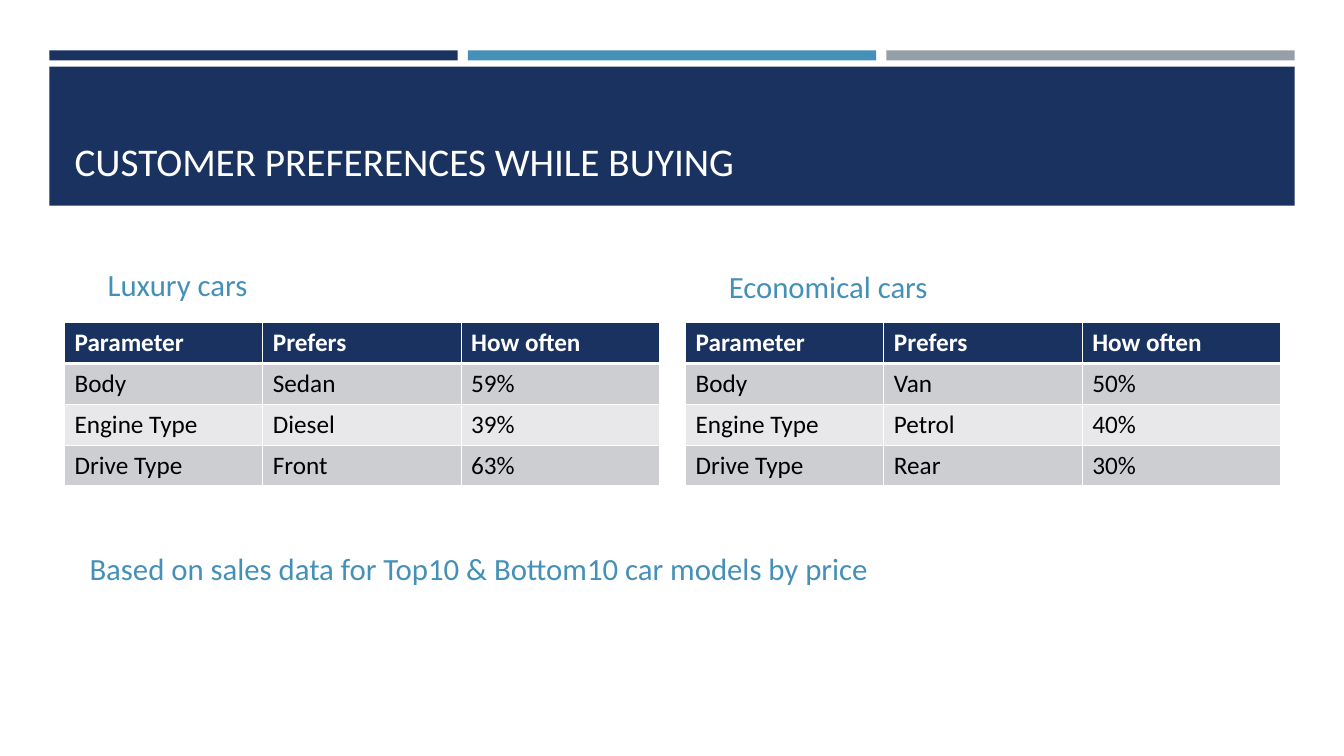
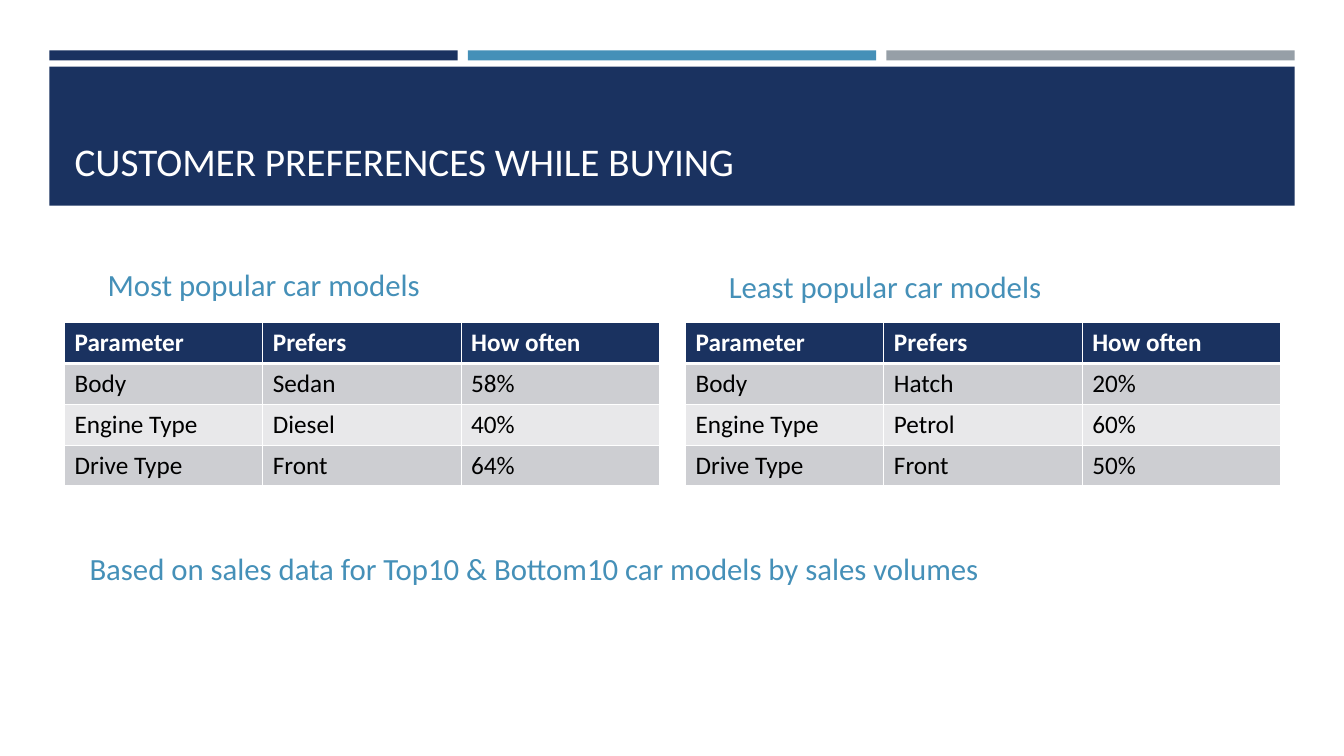
from lxml.etree import SubElement
from pptx import Presentation
from pptx.dml.color import RGBColor
from pptx.enum.shapes import MSO_SHAPE as Shape
from pptx.enum.text import MSO_ANCHOR as Anchor, MSO_AUTO_SIZE as AutoSize, PP_ALIGN as Align
from pptx.oxml.ns import qn
from pptx.util import Inches, Pt

TITLE = "CUSTOMER PREFERENCES WHILE BUYING"
HEADER = ("Parameter", "Prefers", "How often")
SLIDES = [
    {
        "tables": [
            ("Luxury cars", [
                ("Body", "Sedan", "59%"),
                ("Engine Type", "Diesel", "39%"),
                ("Drive Type", "Front", "63%"),
            ]),
            ("Economical cars", [
                ("Body", "Van", "50%"),
                ("Engine Type", "Petrol", "40%"),
                ("Drive Type", "Rear", "30%"),
            ]),
        ],
        "basis": "Based on sales data for Top10 & Bottom10 car models by price",
    },
    {
        "tables": [
            ("Most popular car models", [
                ("Body", "Sedan", "58%"),
                ("Engine Type", "Diesel", "40%"),
                ("Drive Type", "Front", "64%"),
            ]),
            ("Least popular car models", [
                ("Body", "Hatch", "20%"),
                ("Engine Type", "Petrol", "60%"),
                ("Drive Type", "Front", "50%"),
            ]),
        ],
        "basis": "Based on sales data for Top10 & Bottom10 car models by sales volumes",
    },
]

COLORS = {
    "navy": "1A3260", "blue": "4590B8", "gray": "969FA7", "white": "FFFFFF",
    "black": "000000", "dark_row": "CDCED2", "light_row": "E8E8EA",
}
FONT = "Calibri"
WIDTH, HEIGHT = 13.33, 7.5
MARGIN = 0.49
BAND_WIDTH = WIDTH - 2 * MARGIN
STRIPES = ("navy", "blue", "gray")
STRIPE_GAP = 0.1
STRIPE_WIDTH = (BAND_WIDTH - STRIPE_GAP * (len(STRIPES) - 1)) / len(STRIPES)
CONTENT_LEFT, CONTENT_WIDTH = 0.64, 12.06
TABLE_TOP, TABLE_WIDTH, ROW_HEIGHT = 3.2, 5.9, 0.405
TABLE_STEP = CONTENT_WIDTH - TABLE_WIDTH
CAPTION_INDENT, CAPTION_TOP, CAPTION_WIDTH = 0.33, 2.46, 5.56
CAPTION_HEIGHTS = (0.59, 0.61)


def color(name):
    return RGBColor.from_string(COLORS[name])


def inches(*lengths):
    return [Inches(length) for length in lengths]


def write(frame, text, size, fill, bold=False, anchor=None, after=None):
    if anchor is not None:
        frame.word_wrap = True
        frame.auto_size = AutoSize.NONE
        frame.vertical_anchor = anchor
    para = frame.paragraphs[0]
    para.alignment = Align.LEFT
    if after is not None:
        para.space_after = Pt(after)
    span = para.add_run()
    span.text = text
    span.font.name = FONT
    span.font.size = Pt(size)
    span.font.bold = bold
    span.font.color.rgb = color(fill)


def add_band(slide, left, top, width, height, fill):
    band = slide.shapes.add_shape(Shape.RECTANGLE, *inches(left, top, width, height))
    band.shadow.inherit = False
    band.fill.solid()
    band.fill.fore_color.rgb = color(fill)
    band.line.fill.background()


def add_heading(slide):
    """Draw the stripes and the title band, then set the title in front of them."""
    for index, fill in enumerate(STRIPES):
        left = MARGIN + index * (STRIPE_WIDTH + STRIPE_GAP)
        add_band(slide, left, 0.5, STRIPE_WIDTH, 0.1, fill)
    add_band(slide, MARGIN, 0.66, BAND_WIDTH, 1.38, "navy")
    title = slide.shapes.title
    title.left, title.top, title.width, title.height = inches(
        CONTENT_LEFT, 0.8, CONTENT_WIDTH, 1.08)
    write(title.text_frame, TITLE, 28, "white", anchor=Anchor.BOTTOM)
    slide.shapes.element.append(title.element)


def add_caption(slide, text, left, top, width, height):
    box = slide.shapes.add_textbox(*inches(left, top, width, height))
    write(box.text_frame, text, 22, "blue", anchor=Anchor.BOTTOM, after=6)


def set_border(cell, side, points):
    properties = cell._tc.get_or_add_tcPr()
    line = SubElement(properties, qn(f"a:ln{side}"), w=str(Pt(points)))
    solid = SubElement(line, qn("a:solidFill"))
    SubElement(solid, qn("a:srgbClr"), val=COLORS["white"])


def format_cell(cell, text, row):
    is_header = row == 0
    for side in "LRTB":
        thick = (is_header and side == "B") or (row == 1 and side == "T")
        set_border(cell, side, 3 if thick else 1)
    cell.fill.solid()
    row_fill = "dark_row" if row % 2 else "light_row"
    cell.fill.fore_color.rgb = color("navy" if is_header else row_fill)
    write(cell.text_frame, text, 18, "white" if is_header else "black", bold=is_header)


def add_preferences(slide, left, records):
    rows = [HEADER, *records]
    frame = slide.shapes.add_table(
        len(rows), len(HEADER),
        *inches(left, TABLE_TOP, TABLE_WIDTH, ROW_HEIGHT * len(rows)))
    table = frame.table
    for column in table.columns:
        column.width = Inches(TABLE_WIDTH / len(HEADER))
    for row, values in enumerate(rows):
        table.rows[row].height = Inches(ROW_HEIGHT)
        for column, text in enumerate(values):
            format_cell(table.cell(row, column), text, row)


def add_slide(deck, content):
    slide = deck.slides.add_slide(deck.slide_layouts.get_by_name("Title Only"))
    add_heading(slide)
    for index, (caption, records) in enumerate(content["tables"]):
        left = CONTENT_LEFT + index * TABLE_STEP
        add_caption(slide, caption, left + CAPTION_INDENT, CAPTION_TOP,
                    CAPTION_WIDTH, CAPTION_HEIGHTS[index])
        add_preferences(slide, left, records)
    add_caption(slide, content["basis"], 0.79, 5.28, 11.73, 0.59)


def main():
    deck = Presentation()
    deck.slide_width, deck.slide_height = inches(WIDTH, HEIGHT)
    for content in SLIDES:
        add_slide(deck, content)
    deck.save("out.pptx")


if __name__ == "__main__":
    main()
